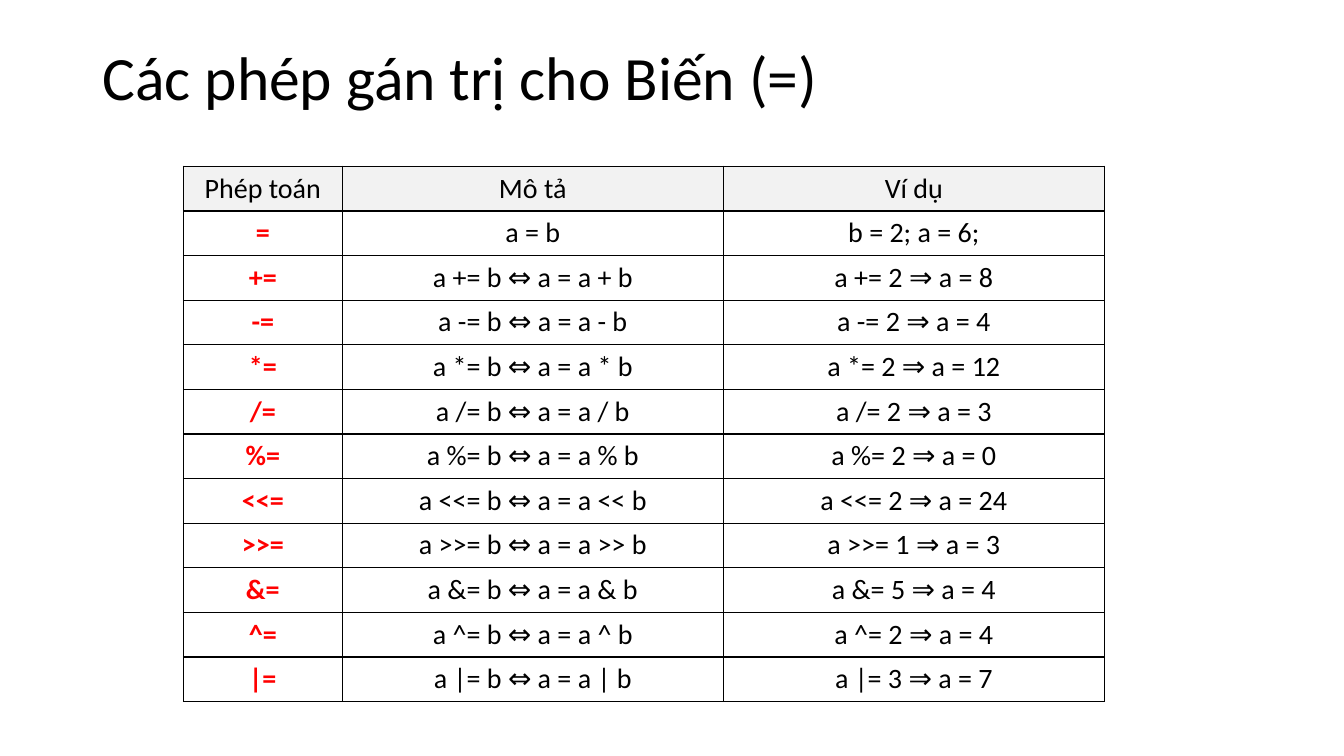
import pptx
import pptx.dml.color
import pptx.enum.text
import pptx.oxml
import pptx.oxml.ns
import pptx.util

Pt = pptx.util.Pt
FONT = "Calibri"
BLACK, RED, HEADER_GREY = "000000", "FF0000", "F2F2F2"
TITLE = "Các phép gán trị cho Biến (=)"
HEADINGS = ["Phép toán", "Mô tả", "Ví dụ"]
COLUMN_WIDTHS = [113.5, 272.2, 272.2]
ROW_HEIGHT = 31.87
# Operator, right-hand value and resulting a
EXAMPLES = [
    ("+", 2, 8), ("-", 2, 4), ("*", 2, 12), ("/", 2, 3), ("%", 2, 0),
    ("<<", 2, 24), (">>", 1, 3), ("&", 5, 4), ("^", 2, 4), ("|", 3, 7),
]


def color(hex_value):
    return pptx.dml.color.RGBColor.from_string(hex_value)


def format_paragraph(para, size, hex_value, bold=False):
    para.font.name = FONT
    para.font.size = Pt(size)
    para.font.bold = bold
    para.font.color.rgb = color(hex_value)


def add_title(slide, left, top, width, height):
    title = slide.shapes.title
    title.left, title.top = Pt(left), Pt(top)
    title.width, title.height = Pt(width), Pt(height)
    title.text_frame.text = TITLE
    title.text_frame.vertical_anchor = pptx.enum.text.MSO_ANCHOR.MIDDLE
    para = title.text_frame.paragraphs[0]
    para.alignment = pptx.enum.text.PP_ALIGN.LEFT
    para.line_spacing = 0.9
    format_paragraph(para, 44, BLACK)


def add_borders(cell):
    properties = cell._tc.get_or_add_tcPr()
    for side in ("lnL", "lnR", "lnT", "lnB"):
        properties.append(pptx.oxml.parse_xml(
            f'<a:{side} {pptx.oxml.ns.nsdecls("a")} w="{Pt(1)}">'
            f'<a:solidFill><a:srgbClr val="{BLACK}"/></a:solidFill></a:{side}>'))


def fill_cell(cell, text, is_header, is_operator):
    add_borders(cell)
    if is_header:
        cell.fill.solid()
        cell.fill.fore_color.rgb = color(HEADER_GREY)
    else:
        cell.fill.background()
    cell.text = text
    para = cell.text_frame.paragraphs[0]
    para.alignment = pptx.enum.text.PP_ALIGN.CENTER
    format_paragraph(para, 20, RED if is_operator else BLACK, is_operator)


def table_rows():
    rows = [HEADINGS, ["=", "a = b", "b = 2; a = 6;"]]
    for sign, value, result in EXAMPLES:
        rows.append([
            f"{sign}=",
            f"a {sign}= b ⇔ a = a {sign} b",
            f"a {sign}= {value} ⇒ a = {result}",
        ])
    return rows


def add_operator_table(slide, left, top):
    rows = table_rows()
    table = slide.shapes.add_table(
        len(rows), len(HEADINGS), Pt(left), Pt(top),
        Pt(sum(COLUMN_WIDTHS)), Pt(ROW_HEIGHT * len(rows))).table
    table.first_row = table.horz_banding = False
    for column, width in zip(table.columns, COLUMN_WIDTHS):
        column.width = Pt(width)
    for row_index, texts in enumerate(rows):
        table.rows[row_index].height = Pt(ROW_HEIGHT)
        for column_index, text in enumerate(texts):
            is_header = row_index == 0
            is_operator = column_index == 0 and not is_header
            fill_cell(table.cell(row_index, column_index), text, is_header, is_operator)


def main():
    deck = pptx.Presentation()
    deck.slide_width, deck.slide_height = Pt(960), Pt(540)
    slide = deck.slides.add_slide(deck.slide_layouts.get_by_name("Title Only"))
    add_title(slide, 66, 15, 828, 85)
    add_operator_table(slide, 131, 118.8)
    deck.save("out.pptx")


if __name__ == "__main__":
    main()
